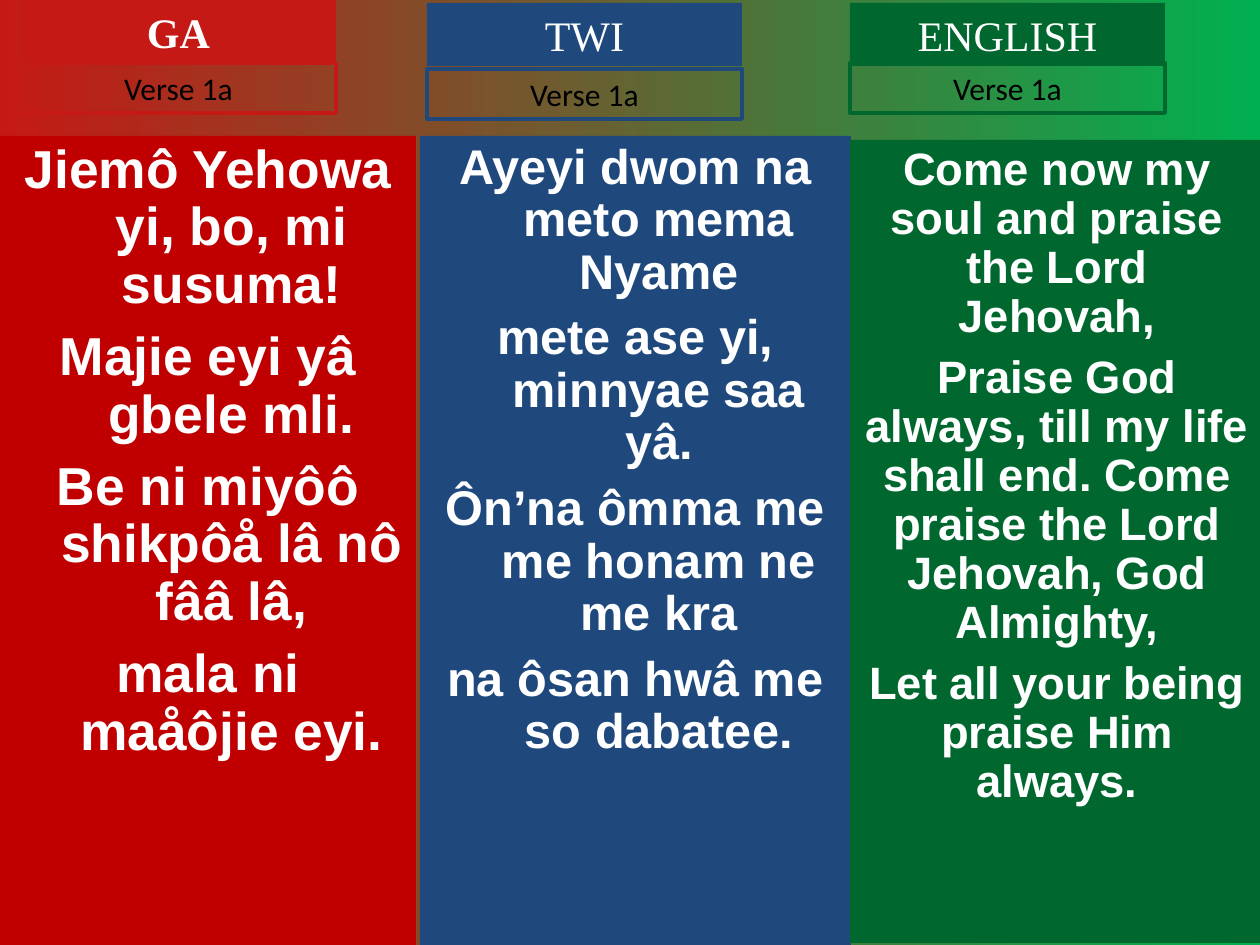
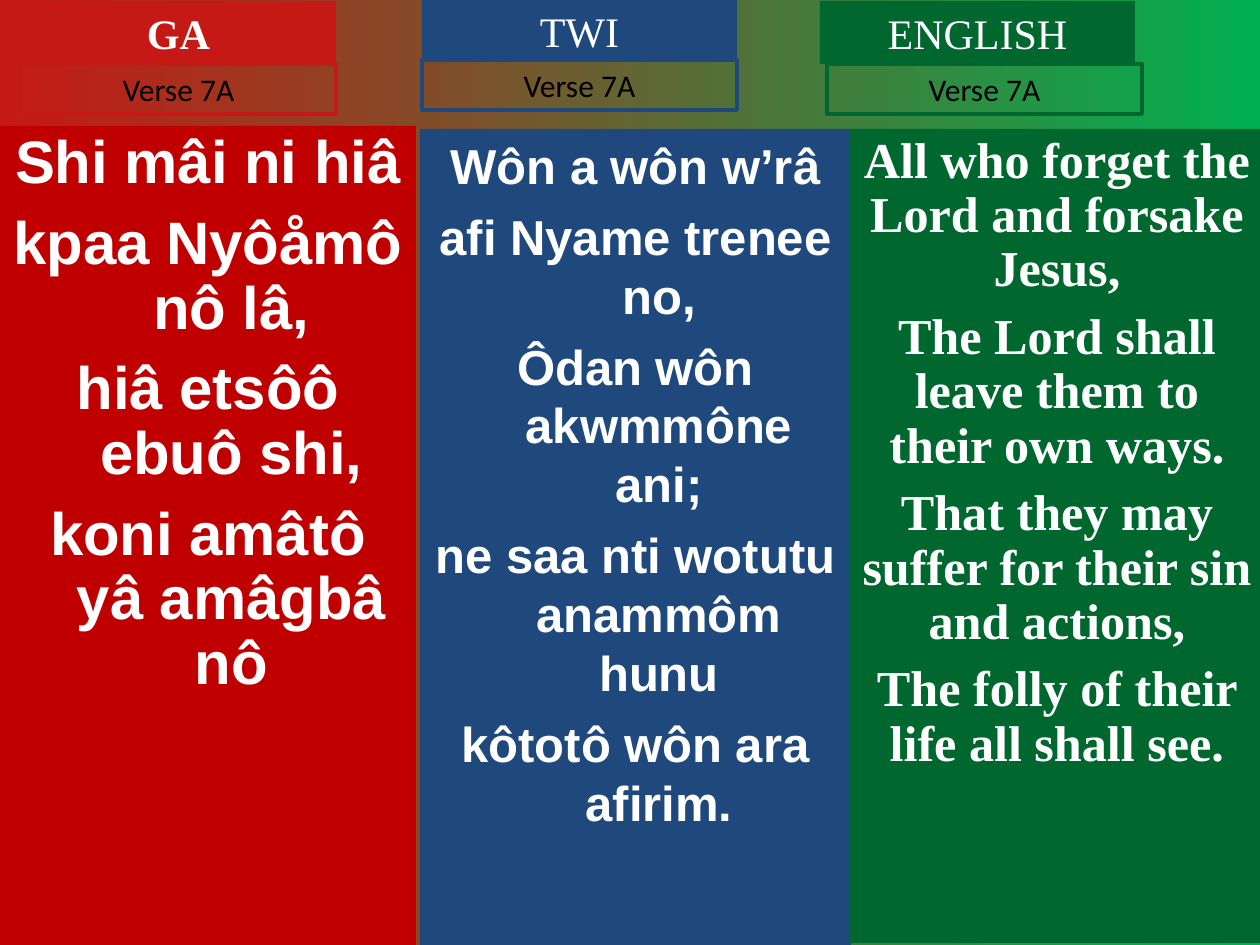
from dataclasses import dataclass

from pptx import Presentation
from pptx.dml.color import RGBColor
from pptx.enum.shapes import MSO_SHAPE
from pptx.enum.text import MSO_ANCHOR, PP_ALIGN
from pptx.util import Emu, Pt

PIXELS_PER_INCH = 126
SLIDE_WIDTH, SLIDE_HEIGHT = 1260, 945
TAG_WIDTH, HEADING_HEIGHT, LABEL_HEIGHT = 315, 63, 50
HANGING_INDENT = 47
WHITE, BLACK = "FFFFFF", "000000"
GRADIENT = ("C51915", "00B050")


@dataclass
class Language:
    """A language column: its heading, colours and horizontal extent."""
    name: str
    tag_color: str
    panel_color: str
    left: int
    width: int
    bottom: int
    hanging: bool = True
    bold_heading: bool = False


@dataclass
class Verse:
    """One verse in one language, with its positions and lettering."""
    heading_at: tuple
    label_at: tuple
    panel_top: int
    size: float
    gap: float
    lines: tuple
    font: str = "Arial"
    line_spacing: float = 0.9


GA = Language("GA", "C51915", "C00000", 0, 416, SLIDE_HEIGHT, bold_heading=True)
TWI = Language("TWI", "1F497D", "1F497D", 420, 431, SLIDE_HEIGHT)
ENGLISH = Language("ENGLISH", "00682F", "00682F", 850, 414, 943, hanging=False)
LANGUAGES = (GA, TWI, ENGLISH)

SLIDES = {
    "Verse 1a": (
        Verse((21, 0), (21, 63), 136, 30.5, 8.2, (
            "Jiemô Yehowa yi, bo, mi susuma!",
            "Majie eyi yâ gbele mli.",
            "Be ni miyôô shikpôå lâ nô fââ lâ,",
            "mala ni maåôjie eyi.")),
        Verse((427, 3), (427, 69), 136, 27.8, 7.5, (
            "Ayeyi dwom na meto mema Nyame",
            "mete ase yi, minnyae saa yâ.",
            "Ôn’na ômma me me honam ne me kra",
            "na ôsan hwâ me so dabatee.")),
        Verse((850, 3), (850, 63), 140, 25.9, 7, (
            "Come now my soul and praise the Lord Jehovah,",
            "Praise God always, till my life shall end. "
            "Come praise the Lord Jehovah, God Almighty,",
            "Let all your being praise Him always.")),
    ),
    "Verse 7A": (
        Verse((21, 1), (21, 64), 126, 34.2, 9.2, (
            "Shi mâi ni hiâ",
            "kpaa Nyôåmô nô lâ,",
            "hiâ etsôô ebuô shi,",
            "koni amâtô yâ amâgbâ nô")),
        Verse((422, -1), (422, 60), 129, 28, 7, (
            "Wôn a wôn w’râ",
            "afi Nyame trenee no,",
            "Ôdan wôn akwmmône ani;",
            "ne saa nti wotutu anammôm hunu",
            "kôtotô wôn ara afirim."), line_spacing=1.0),
        Verse((820, 1), (827, 64), 129, 28.7, 7.7, (
            "All who forget the Lord and forsake Jesus,",
            "The Lord shall leave them to their own ways.",
            "That they may suffer for their sin and actions,",
            "The folly of their life all shall see."), font="Times New Roman"),
    ),
}


def px(length):
    """Turn a length in px into EMU."""
    return Emu(round(length * 914400 / PIXELS_PER_INCH))


def color(hex_string):
    """Turn a hex string into a colour."""
    return RGBColor.from_string(hex_string)


def paint_background(master):
    """Give every slide the left-to-right gradient."""
    fill = master.background.fill
    fill.gradient()
    fill.gradient_angle = 0
    for position, (stop, hex_string) in enumerate(zip(fill.gradient_stops, GRADIENT)):
        stop.position = position
        stop.color.rgb = color(hex_string)


def add_box(slide, left, top, width, height, fill=None, line=None):
    """Add a rectangle that is filled, outlined or both."""
    shape = slide.shapes.add_shape(
        MSO_SHAPE.RECTANGLE, px(left), px(top), px(width), px(height))
    shape.shadow.inherit = False
    if fill:
        shape.fill.solid()
        shape.fill.fore_color.rgb = color(fill)
    else:
        shape.fill.background()
    if line:
        shape.line.color.rgb = color(line)
        shape.line.width = Pt(2.25)
    else:
        shape.line.fill.background()
    shape.text_frame.word_wrap = True
    shape.text_frame.vertical_anchor = MSO_ANCHOR.TOP
    return shape


def write(paragraph, text, font, size, hex_string, bold=False):
    """Write a centred paragraph and format its run."""
    paragraph.text = text
    paragraph.alignment = PP_ALIGN.CENTER
    for run in paragraph.runs:
        run.font.name = font
        run.font.size = Pt(size)
        run.font.bold = bold
        run.font.color.rgb = color(hex_string)


def hang(paragraph):
    """Indent every line of a paragraph but the first."""
    properties = paragraph._p.get_or_add_pPr()
    properties.set("marL", str(px(HANGING_INDENT)))
    properties.set("indent", str(-px(HANGING_INDENT)))


def add_panel(slide, language, verse):
    """Add the coloured panel with the lines of a verse."""
    panel = add_box(slide, language.left, verse.panel_top, language.width,
                    language.bottom - verse.panel_top, fill=language.panel_color)
    frame = panel.text_frame
    for index, line in enumerate(verse.lines):
        paragraph = frame.add_paragraph() if index else frame.paragraphs[0]
        if language.hanging:
            hang(paragraph)
        write(paragraph, line, verse.font, verse.size, WHITE, bold=True)
        paragraph.line_spacing = verse.line_spacing
        paragraph.space_before = Pt(verse.gap if index else 0)


def add_heading(slide, language, verse):
    """Add the filled tag with the name of the language."""
    heading = add_box(slide, *verse.heading_at, TAG_WIDTH, HEADING_HEIGHT,
                      fill=language.tag_color)
    write(heading.text_frame.paragraphs[0], language.name, "Times New Roman", 24,
          WHITE, language.bold_heading)


def add_label(slide, language, verse, text):
    """Add the outlined tag with the number of the verse."""
    label = add_box(slide, *verse.label_at, TAG_WIDTH, LABEL_HEIGHT,
                    line=language.tag_color)
    write(label.text_frame.paragraphs[0], text, "Calibri", 18, BLACK)


def main():
    """Build the hymn slides and save them."""
    presentation = Presentation()
    presentation.slide_width = px(SLIDE_WIDTH)
    presentation.slide_height = px(SLIDE_HEIGHT)
    paint_background(presentation.slide_master)
    blank_layout = presentation.slide_layouts[6]
    for label, verses in SLIDES.items():
        slide = presentation.slides.add_slide(blank_layout)
        for language, verse in zip(LANGUAGES, verses):
            add_panel(slide, language, verse)
            add_heading(slide, language, verse)
            add_label(slide, language, verse, label)
    presentation.save("out.pptx")


if __name__ == "__main__":
    main()
